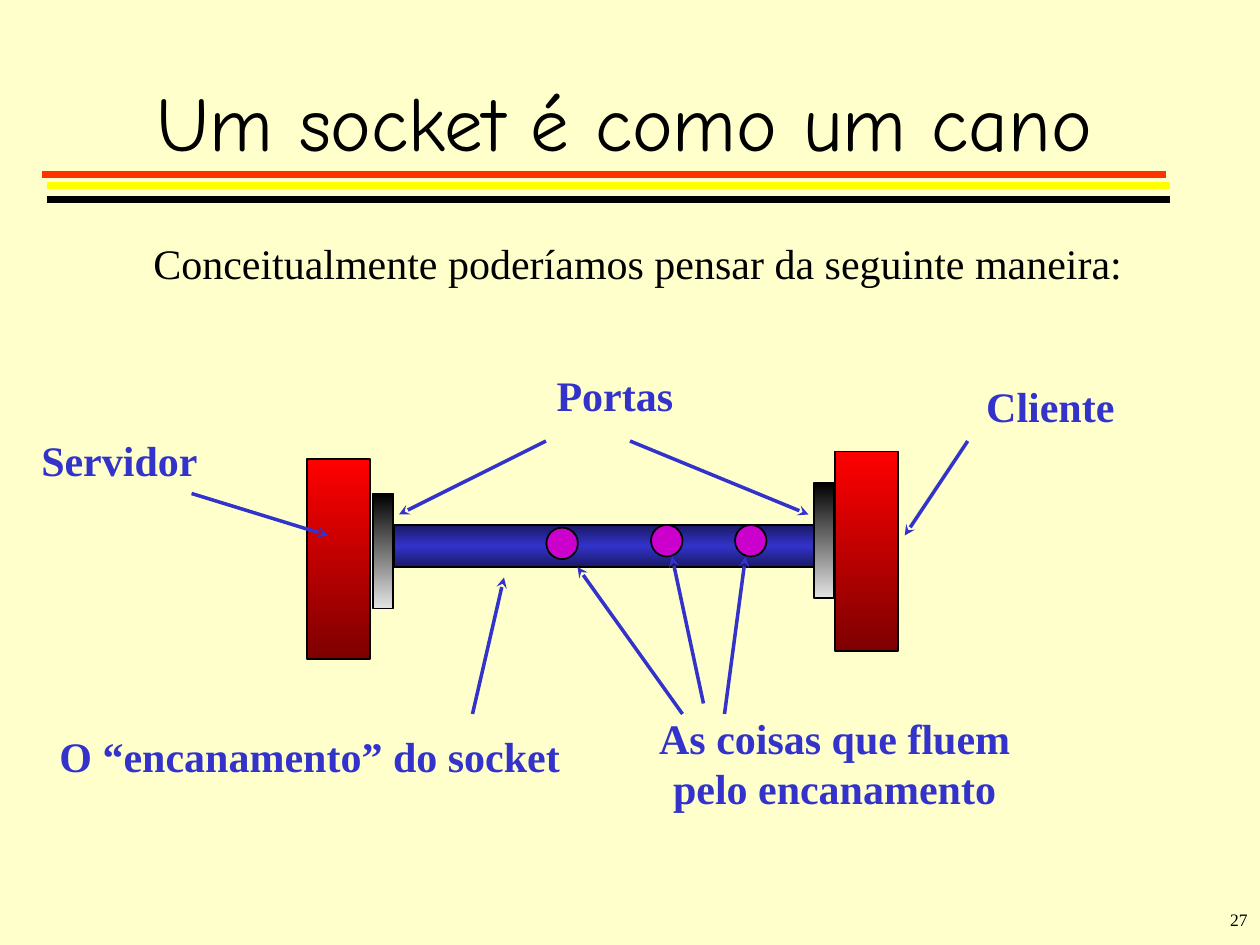
from copy import deepcopy

from lxml import etree
from pptx import Presentation
from pptx.dml.color import RGBColor
from pptx.enum.shapes import MSO_CONNECTOR, MSO_SHAPE
from pptx.enum.text import MSO_ANCHOR, PP_ALIGN
from pptx.oxml.ns import qn
from pptx.util import Pt

LINE = MSO_CONNECTOR.STRAIGHT
RECT, OVAL = MSO_SHAPE.RECTANGLE, MSO_SHAPE.OVAL
LEFT, CENTER, RIGHT = PP_ALIGN.LEFT, PP_ALIGN.CENTER, PP_ALIGN.RIGHT
TOP, MIDDLE = MSO_ANCHOR.TOP, MSO_ANCHOR.MIDDLE

COLORS = {
    "cream": "FFFFCC", "black": "000000", "orange": "FF3300",
    "yellow": "FFFF00", "blue": "3333CC", "navy": "191965",
    "grey": "E4E4E4", "red": "FF0000", "maroon": "7E0000",
    "magenta": "CC00CC",
}


def rgb(name):
    return RGBColor.from_string(COLORS[name])


def write(p, text, font="Times New Roman", size=24, color="black", bold=False, align=LEFT):
    p.alignment = align
    r = p.add_run()
    r.text = text
    r.font.name, r.font.size, r.font.bold = font, Pt(size), bold
    r.font.color.rgb = rgb(color)


class Deck:
    """Draws styled elements on the current slide, with lengths in points."""

    def __init__(self, prs):
        self.label_style = {"color": "blue", "bold": True}
        self.slide = prs.slides.add_slide(prs.slide_layouts[6])
        fill = self.slide.background.fill
        fill.solid()
        fill.fore_color.rgb = rgb("cream")

    def text(self, text, x, y, w, h, anchor=TOP, wrap=True, **style):
        tf = self.slide.shapes.add_textbox(Pt(x), Pt(y), Pt(w), Pt(h)).text_frame
        tf.word_wrap, tf.vertical_anchor = wrap, anchor
        write(tf.paragraphs[0], text, **style)

    def label(self, text, x, y, w, h=36, **style):
        self.text(text, x, y, w, h, **self.label_style, **style)

    def shape(self, kind, x, y, w, h, *colors):
        sp = self.slide.shapes.add_shape(kind, Pt(x), Pt(y), Pt(w), Pt(h))
        sp.shadow.inherit = False
        sp.line.color.rgb, sp.line.width = rgb("black"), Pt(1)
        if len(colors) == 1:
            sp.fill.solid()
            sp.fill.fore_color.rgb = rgb(colors[0])
            return
        sp.fill.gradient()
        sp.fill.gradient_angle = 270
        stops = next(sp._element.spPr.iter(qn("a:gsLst")))
        for _ in colors[2:]:
            stops.append(deepcopy(stops[0]))
        for i, (stop, color) in enumerate(zip(sp.fill.gradient_stops, colors)):
            stop.position = i / (len(colors) - 1)
            stop.color.rgb = rgb(color)

    def line(self, x1, y1, x2, y2, color="blue", width=2):
        cn = self.slide.shapes.add_connector(LINE, Pt(x1), Pt(y1), Pt(x2), Pt(y2))
        cn.line.color.rgb, cn.line.width = rgb(color), Pt(width)
        etree.SubElement(cn._element.spPr, qn("a:effectLst"))
        return cn

    def arrow(self, *points):
        ln = self.line(*points).line._get_or_add_ln()
        etree.SubElement(ln, qn("a:tailEnd"), type="stealth")


def main():
    prs = Presentation()
    prs.slide_width, prs.slide_height = Pt(720), Pt(540)
    s = Deck(prs)

    for x, y, color in ((24, 100, "orange"), (26.7, 106, "yellow"), (26.7, 114, "black")):
        s.line(x, y, x + 642, y, color, 4)
    s.text("Um socket é como um cano", 12, 24, 690, 90, anchor=MIDDLE,
           font="Comic Neue", size=44, align=CENTER)
    s.text("Conceitualmente poderíamos pensar da seguinte maneira:",
           36, 132, 657, 70, align=CENTER)

    s.shape(RECT, 225, 300, 240, 24, "navy", "blue", "navy")
    for wall_x, wall_y, port_x, port_y in ((175.5, 262.5, 213, 282), (477, 258, 465, 276)):
        s.shape(RECT, port_x, port_y, 11.8, 65.8, "black", "grey")
        s.shape(RECT, wall_x, wall_y, 36, 114, "red", "maroon")
    for x, y in ((420, 300), (372, 300), (312.2, 301.5)):
        s.shape(OVAL, x, y, 18, 18, "magenta")

    for points in (
        (109.5, 282, 187.5, 306), (553, 252, 517, 306),
        (360, 252, 462, 294), (312, 252, 228, 294),
        (270, 408, 288, 330), (390, 408, 330, 324),
        (414, 408, 426, 318), (402, 402, 384, 318),
    ):
        s.arrow(*points)

    s.label("Cliente", 556.5, 214, 108)
    s.label("Servidor", 16.5, 245, 115)
    s.label("Portas", 311, 207.5, 81, wrap=False)
    s.label("O “encanamento” do socket", 0, 414, 354, align=CENTER)
    s.label("As coisas que fluem pelo encanamento", 354, 403.5, 246, 94, align=CENTER)
    s.text("27", 570, 516, 150, 36, size=10, align=RIGHT)

    prs.save("out.pptx")


if __name__ == "__main__":
    main()
